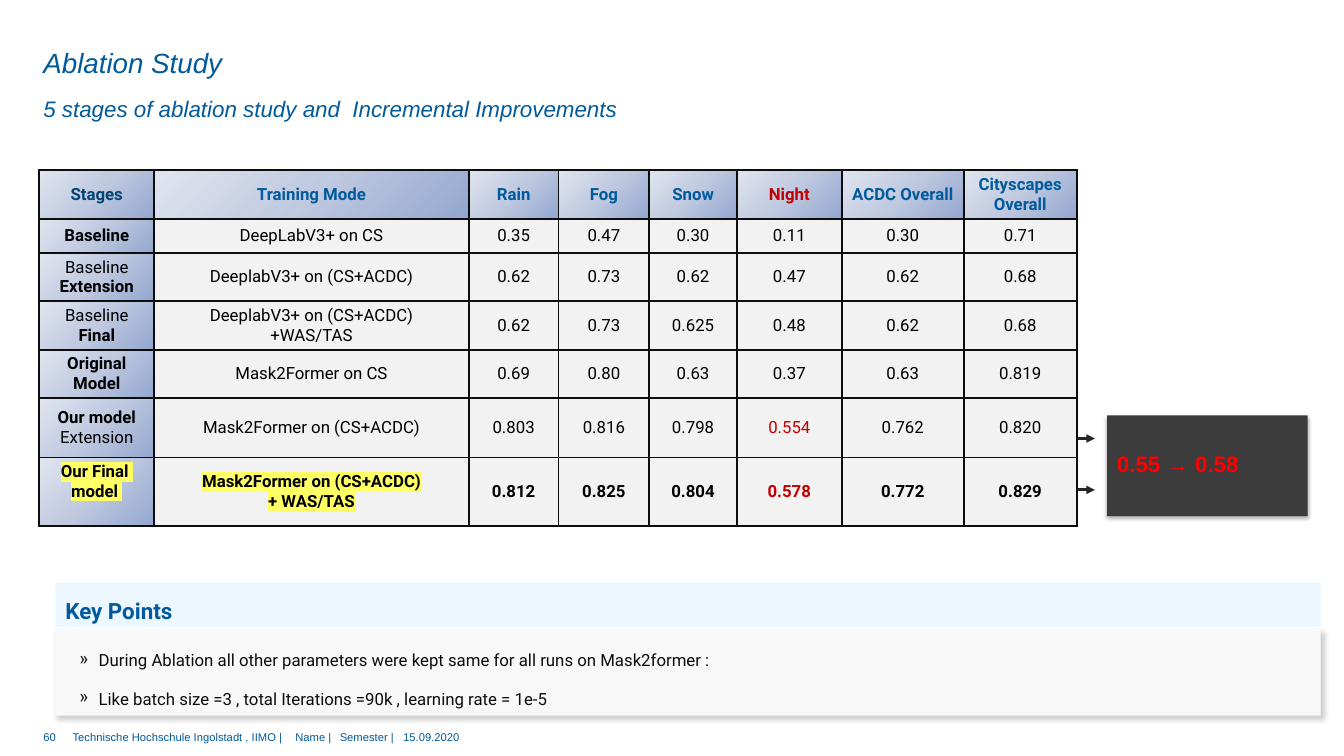
import pptx
import pptx.dml.color
import pptx.enum.shapes
import pptx.enum.text
import pptx.oxml
import pptx.oxml.ns
import pptx.util

EMU_PER_PX = 9144
A_NS = pptx.oxml.ns.nsdecls("a")
ANCHOR = pptx.enum.text.MSO_ANCHOR
ALIGN = pptx.enum.text.PP_ALIGN
BLUE, RED, BLACK, NEAR_BLACK = "005A9B", "C00000", "000000", "0D0D0D"

COLUMN_WIDTHS = [114, 312, 89, 90, 87, 104, 121, 112]
ROW_HEIGHTS = [48, 34, 48, 48, 48, 59, 68]
NIGHT = 5
RESULTS = [
    ["*Stages", "*Training Mode", "*Rain", "*Fog", "*Snow", "*Night", "*ACDC Overall", "*Cityscapes Overall"],
    ["*Baseline", "DeepLabV3+ on CS", "0.35", "0.47", "0.30", "0.11", "0.30", "0.71"],
    ["Baseline\n*Extension", "DeeplabV3+ on (CS+ACDC)", "0.62", "0.73", "0.62", "0.47", "0.62", "0.68"],
    ["Baseline\n*Final", "DeeplabV3+ on (CS+ACDC)\n+WAS/TAS", "0.62", "0.73", "0.625", "0.48", "0.62", "0.68"],
    ["*Original Model", "Mask2Former on CS", "0.69", "0.80", "0.63", "0.37", "0.63", "0.819"],
    ["*Our model\nExtension", "Mask2Former on (CS+ACDC)", "0.803", "0.816", "0.798", "0.554", "0.762", "0.820"],
    ["*Our Final \n*model ", "*Mask2Former on (CS+ACDC)\n*+ WAS/TAS",
     "*0.812", "*0.825", "*0.804", "*0.578", "*0.772", "*0.829"],
]
KEY_POINTS = [
    "During Ablation all other parameters were kept same for all runs on Mask2former :",
    "Like batch size =3 , total Iterations =90k , learning rate = 1e-5",
]


def px(*lengths):
    """Turn pixel lengths into EMU."""
    return [pptx.util.Emu(round(length * EMU_PER_PX)) for length in lengths]


def rgb(code):
    """Turn a hex string into a colour."""
    return pptx.dml.color.RGBColor.from_string(code)


def add_run(paragraph, text, size, color, font="Arial", bold=False, italic=False, highlight=None):
    """Append one formatted run to a paragraph."""
    run = paragraph.add_run()
    run.text = text
    run.font.size = pptx.util.Pt(size)
    run.font.name = font
    run.font.bold = bold
    run.font.italic = italic
    run.font.color.rgb = rgb(color)
    if highlight:
        fill = run.font._element.find(pptx.oxml.ns.qn("a:solidFill"))
        fill.addnext(pptx.oxml.parse_xml(
            f'<a:highlight {A_NS}><a:srgbClr val="{highlight}"/></a:highlight>'))


def set_frame(frame, margins=(0, 0, 0, 0), anchor=ANCHOR.TOP):
    """Set wrapping, margins and anchor, and return the first paragraph."""
    frame.word_wrap = True
    frame.auto_size = pptx.enum.text.MSO_AUTO_SIZE.NONE
    frame.margin_left, frame.margin_top, frame.margin_right, frame.margin_bottom = px(*margins)
    frame.vertical_anchor = anchor
    paragraph = frame.paragraphs[0]
    paragraph.alignment = ALIGN.LEFT
    return paragraph


def add_text(slide, box, margins=(0, 0, 0, 0)):
    """Add a text box and return its first paragraph."""
    return set_frame(slide.shapes.add_textbox(*px(*box)).text_frame, margins)


def add_panel(slide, box, color, alpha=None, shadow=None):
    """Add a borderless rectangle with optional transparency or shadow."""
    panel = slide.shapes.add_shape(pptx.enum.shapes.MSO_SHAPE.RECTANGLE, *px(*box))
    panel.shadow.inherit = False
    panel.fill.solid()
    panel.fill.fore_color.rgb = rgb(color)
    panel.line.fill.background()
    properties = panel._element.spPr
    if alpha:
        tint = properties.find(".//" + pptx.oxml.ns.qn("a:srgbClr"))
        tint.append(pptx.oxml.parse_xml(f'<a:alpha {A_NS} val="{alpha * 1000}"/>'))
    if shadow:
        opacity, blur, distance, angle = shadow
        properties.find(pptx.oxml.ns.qn("a:effectLst")).append(pptx.oxml.parse_xml(
            f'<a:outerShdw {A_NS} blurRad="{pptx.util.Pt(blur)}" dist="{pptx.util.Pt(distance)}" '
            f'dir="{angle * 60000}" algn="tl" rotWithShape="0">'
            f'<a:srgbClr val="000000"><a:alpha val="{opacity * 1000}"/></a:srgbClr></a:outerShdw>'))
    return panel


def add_heading(slide, box):
    """Place the title and the subtitle below it."""
    left, top, width, height = box
    title = slide.shapes.title
    title.left, title.top, title.width, title.height = px(left, top, width, 36)
    add_run(set_frame(title.text_frame, anchor=ANCHOR.MIDDLE), "Ablation Study", 19.8, BLUE, italic=True)
    subtitle = add_text(slide, (left, top + 37, width, height - 37))
    subtitle.line_spacing = 1.5
    add_run(subtitle, "5 stages of ablation study and  Incremental Improvements", 16, BLUE, italic=True)


def add_arrow(slide, left, y, width):
    """Draw a horizontal arrow pointing right."""
    arrow = slide.shapes.add_connector(
        pptx.enum.shapes.MSO_CONNECTOR.STRAIGHT, *px(left, y, left + width, y))
    arrow.line.color.rgb = rgb("262626")
    arrow.line.width = pptx.util.Pt(2)
    arrow.line._get_or_add_ln().append(pptx.oxml.parse_xml(f'<a:tailEnd {A_NS} type="triangle"/>'))
    arrow._element.spPr.append(pptx.oxml.parse_xml(f"<a:effectLst {A_NS}/>"))


def add_night_gain(slide, box):
    """Show the improvement at night, with arrows from the last two rows."""
    left, top, width, height = box
    for offset in (23, 74):
        add_arrow(slide, left - 58, top + offset, 46)
    add_panel(slide, box, "3C3C3C", shadow=(35, 3.1, 1.8, 90))
    gain = add_text(slide, (left, top + 30, 147, 37), (10, 5, 10, 5))
    add_run(gain, "0.55 → 0.58", 16, "FF0000", bold=True)


def style_cell(cell, shaded):
    """Give a cell its borders and fill."""
    properties = cell._tc.get_or_add_tcPr()
    for side in "LRTB":
        properties.append(pptx.oxml.parse_xml(
            f'<a:ln{side} {A_NS} w="{pptx.util.Pt(1.5)}"><a:solidFill>'
            f'<a:srgbClr val="{NEAR_BLACK}"/></a:solidFill></a:ln{side}>'))
    if shaded:
        stops = "".join(f'<a:gs pos="{position * 1000}"><a:srgbClr val="{color}"/></a:gs>'
                        for position, color in ((0, "94A7D0"), (50, "BFC9E0"), (100, "E0E5EF")))
        properties.append(pptx.oxml.parse_xml(
            f'<a:gradFill {A_NS} rotWithShape="1"><a:gsLst>{stops}</a:gsLst>'
            f'<a:lin ang="{225 * 60000}" scaled="0"/></a:gradFill>'))
    else:
        cell.fill.solid()
        cell.fill.fore_color.rgb = rgb("F2F2F2")


def cell_color(row, column):
    """Choose the text colour of a cell."""
    if column == NIGHT and row in (0, 5, 6):
        return RED
    if row == 0:
        return BLUE if column else "004474"
    return BLACK


def add_results(slide, box):
    """Build the table of stages; an asterisk starts each bold line."""
    final = len(RESULTS) - 1
    table = slide.shapes.add_table(len(RESULTS), len(COLUMN_WIDTHS), *px(*box)).table
    table.first_row = table.horz_banding = False
    for column, width in zip(table.columns, px(*COLUMN_WIDTHS)):
        column.width = width
    for row, height in zip(table.rows, px(*ROW_HEIGHTS)):
        row.height = height
    for r, texts in enumerate(RESULTS):
        for c, text in enumerate(texts):
            cell = table.cell(r, c)
            style_cell(cell, r == 0 or c == 0)
            cell.vertical_anchor = ANCHOR.MIDDLE
            bottom = 24 if (r, c) == (final, 0) else 4
            cell.margin_left, cell.margin_top, cell.margin_right, cell.margin_bottom = px(9, 4, 9, bottom)
            highlight = "FFFF66" if r == final and c < 2 else None
            for i, line in enumerate(text.split("\n")):
                paragraph = cell.text_frame.add_paragraph() if i else cell.text_frame.paragraphs[0]
                paragraph.alignment = ALIGN.CENTER
                add_run(paragraph, line.lstrip("*"), 12, cell_color(r, c), "Roboto",
                        bold=line.startswith("*"), highlight=highlight)


def add_key_points(slide, box):
    """Place the key points list under its heading band."""
    left, top, width, height = box
    points = add_panel(slide, (left, top + 45, width, height - 45), "F8F8F8", shadow=(18, 4, 3, 45)).text_frame
    set_frame(points, (10, 12, 10, 12))
    indent, hanging = px(34, -19)
    for i, text in enumerate(KEY_POINTS):
        point = points.add_paragraph() if i else points.paragraphs[0]
        point.alignment = ALIGN.LEFT
        properties = point._p.get_or_add_pPr()
        properties.set("marL", str(indent))
        properties.set("indent", str(hanging))
        properties.append(pptx.oxml.parse_xml(f'<a:buChar {A_NS} char="»"/>'))
        point.line_spacing = 1.5
        point.space_after = pptx.util.Pt(6)
        add_run(point, text, 12, NEAR_BLACK, "Roboto")
    band = add_panel(slide, (left + 1, top, width - 1, 44), "B8E1FF", alpha=26)
    heading = set_frame(band.text_frame, (10, 5, 10, 5), ANCHOR.MIDDLE)
    heading.line_spacing = 1.4
    heading.space_after = pptx.util.Pt(6)
    add_run(heading, "Key Points", 16, BLUE, "Roboto", bold=True)


def add_footer(slide, box):
    """Place the page number and the tabbed footer line."""
    left, top, width, height = box
    add_run(add_text(slide, (left, top, 28, height)), "60", 8, BLUE)
    line = add_text(slide, (left + 29, top, width - 29, height))
    tabs = "".join(f'<a:tab pos="{stop}" algn="l"/>' for stop in px(221, 265, 328))
    line._p.get_or_add_pPr().append(pptx.oxml.parse_xml(f"<a:tabLst {A_NS}>{tabs}</a:tabLst>"))
    add_run(line, "Technische Hochschule Ingolstadt , IIMO |\tName |\tSemester |\t15.09.2020", 8, BLUE)


def main():
    """Build and save the slide."""
    deck = pptx.Presentation()
    deck.slide_width, deck.slide_height = px(1333, 750)
    slide = deck.slides.add_slide(deck.slide_layouts[5])
    add_heading(slide, (43, 44, 1067, 74))
    add_night_gain(slide, (1098, 412, 199, 100))
    add_results(slide, (39, 169, sum(COLUMN_WIDTHS), sum(ROW_HEIGHTS)))
    add_key_points(slide, (54, 578, 1256, 132))
    add_footer(slide, (43, 725, 925, 23))
    deck.save("out.pptx")


if __name__ == "__main__":
    main()
